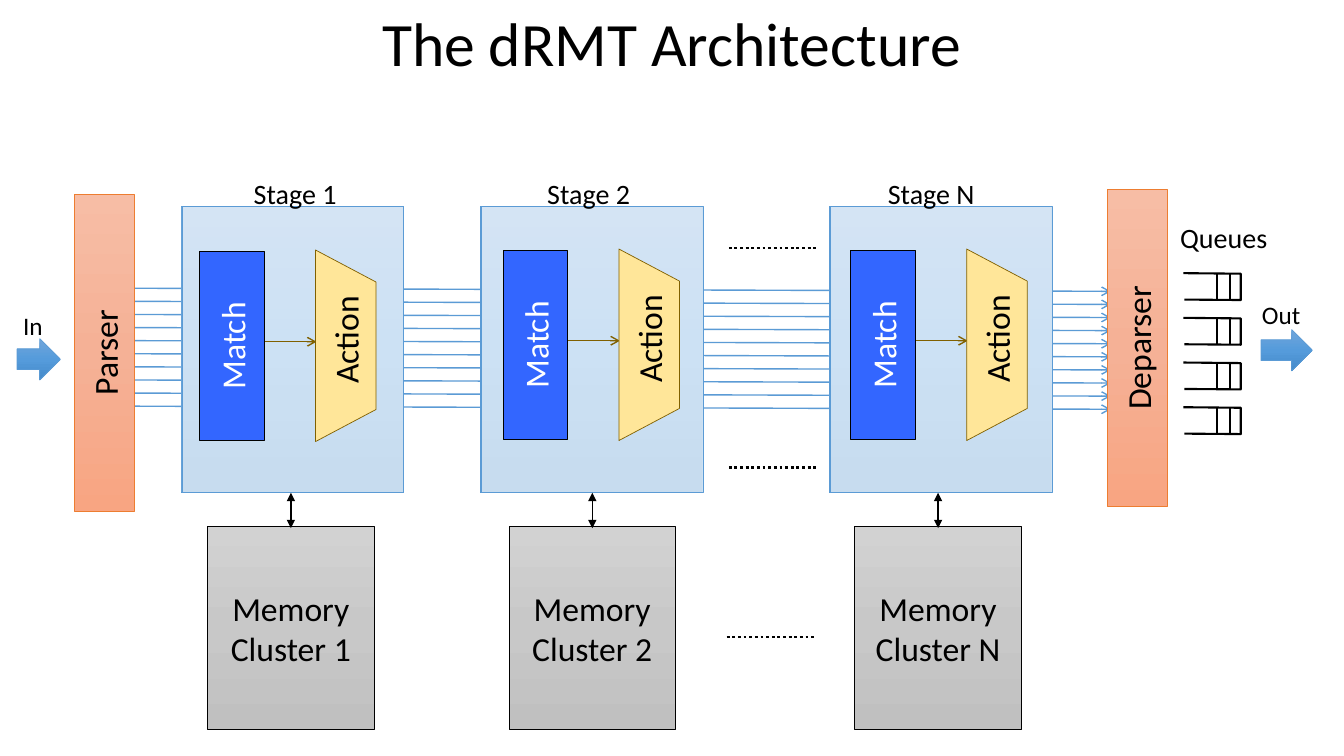
import lxml.etree
import pptx
import pptx.dml.color
import pptx.enum.dml
import pptx.enum.shapes
import pptx.enum.text
import pptx.oxml.ns
import pptx.util

Pt = pptx.util.Pt
qn = pptx.oxml.ns.qn
SHAPE = pptx.enum.shapes.MSO_SHAPE
ALIGN = pptx.enum.text.PP_ALIGN
ANCHOR = pptx.enum.text.MSO_ANCHOR

COLORS = {
    "black": "000000", "white": "FFFFFF", "blue": "5B9BD5", "orange": "ED7D31",
    "match": "3366FF", "action": "FFE699", "brown": "806000",
}
GRADIENTS = {
    "blue": ("71A6DB", "559BDB", "448ACA"),
    "orange": ("F7BDA5", "F5B196", "F8A582"),
    "gray": ("D2D2D2", "C8C8C8", "C0C0C0"),
}
# name, stage left, label left, match left, match top, memory left
STAGES = [
    ("1", 129.2, 174.2, 142.6, 179.3, 148.3),
    ("2", 343, 383.8, 359.3, 178.6, 363.6),
    ("N", 592.2, 627.1, 607.7, 178.6, 610.6),
]


def rgb(name):
    return pptx.dml.color.RGBColor.from_string(COLORS[name])


class Diagram:
    font = "Calibri"

    def __init__(self, slide):
        self.slide = slide

    def set_text(self, s, text, size, color="black", align=ALIGN.CENTER,
                 anchor=ANCHOR.MIDDLE, insets=(7.2, 3.6), wrap=True, upward=False):
        tf = s.text_frame
        tf.word_wrap = wrap
        tf.vertical_anchor = anchor
        tf.margin_left = tf.margin_right = Pt(insets[0])
        tf.margin_top = tf.margin_bottom = Pt(insets[1])
        if upward:
            s._element.txBody.bodyPr.set("vert", "vert270")
        p = tf.paragraphs[0]
        p.text = text
        p.alignment = align
        p.font.name, p.font.size = self.font, Pt(size)
        p.font.color.rgb = rgb(color)
        return p

    def text(self, box, text, size, **style):
        s = self.slide.shapes.add_textbox(*map(Pt, box))
        return s, self.set_text(s, text, size, **style)

    def label(self, box, text, size, wrap=False, rotation=0, **style):
        s, _ = self.text(box, text, size, align=ALIGN.LEFT, anchor=ANCHOR.TOP,
                         wrap=wrap, **style)
        s.text_frame.auto_size = pptx.enum.text.MSO_AUTO_SIZE.SHAPE_TO_FIT_TEXT
        s.rotation = rotation

    def shape(self, kind, box, line, fill=None, gradient=None, opacity=None):
        s = self.slide.shapes.add_shape(kind, *map(Pt, box))
        s.shadow.inherit = False
        s.line.color.rgb, s.line.width = rgb(line), Pt(0.5)
        if gradient:
            self.shade(s, GRADIENTS[gradient])
        else:
            s.fill.solid()
            s.fill.fore_color.rgb = rgb(fill)
        if opacity:
            color = s._element.spPr.find(qn("a:solidFill"))[0]
            lxml.etree.SubElement(color, qn("a:alpha")).set("val", str(opacity * 1000))
        return s

    def shade(self, s, colors):
        """Fill a shape from top to bottom with evenly spaced colours."""
        s.fill.gradient()
        s.fill.gradient_angle = 270
        stops = s._element.spPr.find(".//" + qn("a:gsLst"))
        for stop in list(stops):
            stops.remove(stop)
        for i, color in enumerate(colors):
            stop = lxml.etree.SubElement(stops, qn("a:gs"), pos=str(i * 50000))
            lxml.etree.SubElement(stop, qn("a:srgbClr"), val=color)

    def line(self, x1, y1, x2, y2, color, width=1, head=None, tail=None, dotted=False):
        kind = pptx.enum.shapes.MSO_CONNECTOR.STRAIGHT
        s = self.slide.shapes.add_connector(kind, *map(Pt, (x1, y1, x2, y2)))
        s.line.color.rgb, s.line.width = rgb(color), Pt(width)
        if dotted:
            s.line.dash_style = pptx.enum.dml.MSO_LINE.ROUND_DOT
        ln = s._element.spPr.find(qn("a:ln"))
        for tag, end in (("a:headEnd", head), ("a:tailEnd", tail)):
            if end:
                lxml.etree.SubElement(ln, qn(tag), type=end)
        lxml.etree.SubElement(s._element.spPr, qn("a:effectLst"))

    def outline(self, points, color, width):
        builder = self.slide.shapes.build_freeform(*map(Pt, points[0]), scale=1.0)
        builder.add_line_segments([tuple(map(Pt, pt)) for pt in points[1:]], close=False)
        s = builder.convert_to_shape()
        s.shadow.inherit = False
        s.fill.background()
        s.line.color.rgb, s.line.width = rgb(color), Pt(width)

    def stage(self, name, left, label_left):
        self.shape(SHAPE.RECTANGLE, (left, 147.6, 159, 204.4), "blue", gradient="blue")
        self.shape(SHAPE.RECTANGLE, (left + 0.8, 147.6, 158.4, 203.8), "blue",
                   fill="white", opacity=70)
        self.label((label_left, 122.4, 77, 24.5), "Stage " + name, 20)

    def match_action(self, x, y):
        self.line(x + 25.9, y + 64.8, x + 83.5, y + 64.8, "brown", tail="arrow")
        s = self.shape(SHAPE.RECTANGLE, (x, y, 46, 135.4), "black", fill="match")
        self.set_text(s, "Match", 24, color="white", upward=True)
        s = self.shape(SHAPE.TRAPEZOID, (x + 36, y + 46.1, 136.8, 43.2), "brown",
                       fill="action")
        s.adjustments[0] = 0.53
        s.rotation = 90
        self.label((x + 61.2, y + 41, 85.7, 36), "Action", 24, wrap=True, rotation=270)

    def memory(self, name, x):
        s = self.shape(SHAPE.RECTANGLE, (x, 375.8, 118.8, 145.4), "black", gradient="gray")
        self.set_text(s, "Memory Cluster " + name, 24, insets=(0, 0))
        self.line(x + 59.5, 352, x + 59.5, 377.3, "black", head="triangle", tail="triangle")

    def queue(self, x, y):
        self.outline([(x, y), (x + 41, y + 0.4), (x + 41, y + 19.2), (x + 0.7, y + 18.9)],
                     "black", 1.5)
        for dx in (23.7, 33.1):
            self.line(x + dx, y, x + dx, y + 19, "black", 1.5)

    def end_block(self, x, y, text):
        s = self.shape(SHAPE.RECTANGLE, (x, y, 42.7, 226), "orange", gradient="orange")
        self.set_text(s, text, 24, insets=(10, 5), upward=True)

    def port(self, text, arrow_box, label_box):
        self.shape(SHAPE.RIGHT_ARROW, arrow_box, "blue", gradient="blue")
        self.label(label_box, text, 18, insets=(10, 5))


def main():
    prs = pptx.Presentation()
    prs.slide_width, prs.slide_height = Pt(960), Pt(540)
    d = Diagram(prs.slides.add_slide(prs.slide_layouts[6]))

    _, p = d.text((38.9, -18.7, 882, 104.4), "The dRMT Architecture", 44)
    p.line_spacing = 0.9

    for i in range(10):
        y = 205.9 + 9.36 * i
        d.line(95.8, y, 793.4, y + 2.2, "blue", tail="arrow")
    for x, y in ((520.6, 177.1), (520.6, 334.1), (519.1, 455)):
        d.line(x, y, x + 62.6, y, "black", 2, dotted=True)

    for name, left, label_left, match_x, match_y, memory_x in STAGES:
        d.stage(name, left, label_left)
        d.match_action(match_x, match_y)
        d.memory(name, memory_x)

    d.end_block(53.3, 139, "Parser")
    d.end_block(791.3, 135.4, "Deparser")
    d.label((835.9, 154.1, 79.2, 31.7), "Queues", 20)
    for i in range(4):
        d.queue(845.3, 195.1 + 31.92 * i)
    d.port("In", (12.2, 241.9, 31, 29.5), (6.5, 216.7, 37.4, 32.4))
    d.port("Out", (900.7, 235.4, 36.7, 29.5), (891.4, 208.8, 53.3, 32.4))

    prs.save("out.pptx")


if __name__ == "__main__":
    main()
